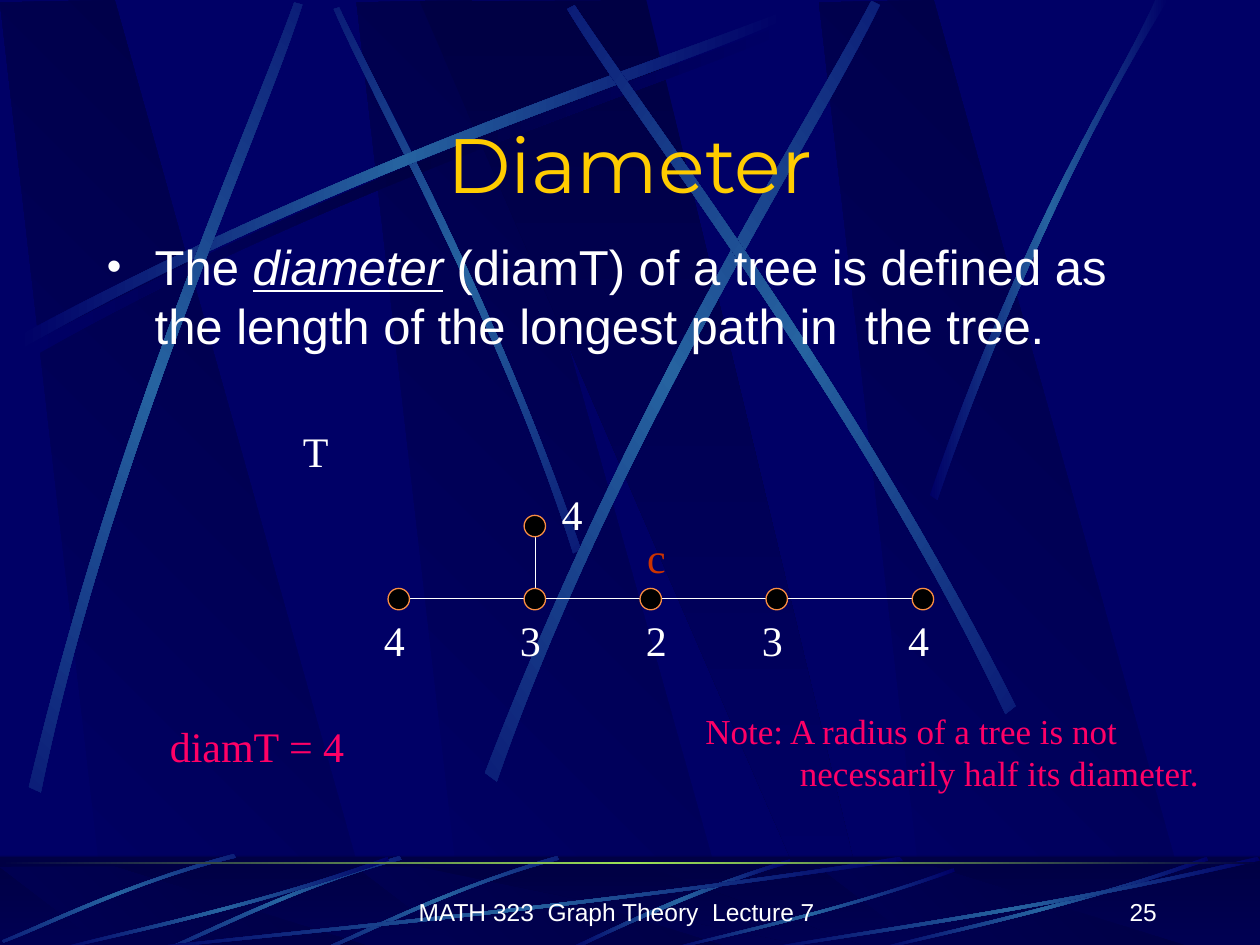
from copy import deepcopy

from lxml import etree
from pptx import Presentation
from pptx.dml.color import RGBColor
from pptx.enum.shapes import MSO_CONNECTOR, MSO_SHAPE
from pptx.enum.text import MSO_ANCHOR, PP_ALIGN
from pptx.oxml.ns import qn
from pptx.util import Cm, Pt

OVAL, RECT, STRAIGHT = MSO_SHAPE.OVAL, MSO_SHAPE.RECTANGLE, MSO_CONNECTOR.STRAIGHT
LEFT, CENTER, RIGHT = PP_ALIGN.LEFT, PP_ALIGN.CENTER, PP_ALIGN.RIGHT
TOP, MIDDLE, BOTTOM = MSO_ANCHOR.TOP, MSO_ANCHOR.MIDDLE, MSO_ANCHOR.BOTTOM

NAVY = RGBColor(0x00, 0x00, 0x66)
DARK = RGBColor(0x00, 0x00, 0x44)
BLUE = RGBColor(0x26, 0x63, 0xA0)
GREEN = RGBColor(0x9C, 0xE1, 0x57)
WHITE = RGBColor(0xFF, 0xFF, 0xFF)
BLACK = RGBColor(0x00, 0x00, 0x00)
YELLOW = RGBColor(0xFF, 0xCC, 0x00)
ORANGE = RGBColor(0xF9, 0x8D, 0x43)
RUST = RGBColor(0xCC, 0x33, 0x00)
PINK = RGBColor(0xFF, 0x00, 0x66)

FADE = (NAVY, BLUE, NAVY)
SHADE = (NAVY, DARK, NAVY)

# Outlines in inches; a ribbon is two Bezier edges of four points each
BEAM = [(0.86, 7.5), (3.02, 7.52), (0.91, 0), (0, 0.02)]
WEDGE = [(0, 0.01), (3.25, 7.51), (3.61, 7.51), (1.8, 0)]
SWEEP = [(0, 2.57), (2.64, 1.15), (5.04, 0.41), (6.06, 0),
         (6.09, 0.06), (5.08, 0.51), (2.34, 1.33), (0.03, 2.67)]
FLAT_STREAK = [(4, 0.03), (2.27, 0.43), (0.69, 0.64), (0.02, 0.75),
               (0, 0.74), (0.66, 0.61), (2.46, 0.38), (3.98, 0)]
STEEP_STREAK = [(1.79, 0), (0.89, 0.27), (0.29, 0.6), (0, 0.72),
                (0.05, 0.73), (0.42, 0.55), (1.23, 0.18), (1.8, 0.03)]
RIGHT_STREAK = [(0, 3.93), (0.76, 1.73), (1.5, 0.66), (1.79, 0),
                (1.89, 0), (0.98, 1.45), (0.31, 3.22), (0.06, 3.97)]


def inch(value):
    return Cm(value * 2.54)


def paint_gradient(shape, colours, angle):
    """Spread evenly spaced colours along a clockwise angle."""
    shape.shadow.inherit = False
    shape.line.fill.background()
    shape.fill.gradient()
    shape.fill.gradient_angle = -angle % 360
    stop_list = shape.element.xpath(".//a:gsLst")[0]
    while len(stop_list) < len(colours):
        stop_list.append(deepcopy(stop_list[0]))
    for index, (stop, colour) in enumerate(zip(shape.fill.gradient_stops, colours)):
        stop.position = index / (len(colours) - 1)
        stop.color.rgb = colour


def add_outline(page, points, box, colours, angle=0):
    """Fit an outline to a box of left, top, width and height."""
    left, top, width, height = box
    scale_x = width / max(x for x, _ in points)
    scale_y = height / max(y for _, y in points)
    placed = [(inch(left + x * scale_x), inch(top + y * scale_y)) for x, y in points]
    builder = page.shapes.build_freeform(*placed[0], scale=1.0)
    builder.add_line_segments(placed[1:], close=True)
    shape = builder.convert_to_shape()
    paint_gradient(shape, colours, angle)
    return shape


def add_ribbon(page, points, box, colours=FADE, rotation=0, mirrored=False):
    if mirrored:
        right = max(x for x, _ in points)
        points = [(right - x, y) for x, y in points]
    shape = add_outline(page, points, box, colours)
    shape.rotation = rotation
    # Join each long edge's three segments into one curve
    segments = shape.element.xpath(".//a:path/a:lnTo")
    for edge in (segments[:3], segments[4:7]):
        curve = etree.Element(qn("a:cubicBezTo"))
        edge[0].addprevious(curve)
        for segment in edge:
            curve.append(segment[0])
            segment.getparent().remove(segment)


def add_rect(page, left, top, width, height, colours, angle=0):
    shape = page.shapes.add_shape(RECT, *map(inch, (left, top, width, height)))
    paint_gradient(shape, colours, angle)
    return shape


def add_text(page, text, box, size=24, font="Times New Roman", colour=WHITE,
             align=CENTER, anchor=TOP, hanging=0, bullet=None, emphasis=None):
    frame = page.shapes.add_textbox(*map(inch, box)).text_frame
    frame.word_wrap = True
    frame.vertical_anchor = anchor
    para = frame.paragraphs[0]
    para.alignment = align
    properties = para._p.get_or_add_pPr()
    if hanging:
        properties.set("marL", str(inch(hanging)))
        properties.set("indent", str(-inch(hanging)))
    if bullet:
        bullet_colour = etree.SubElement(properties, qn("a:buClr"))
        etree.SubElement(bullet_colour, qn("a:srgbClr"), val=str(colour))
        etree.SubElement(properties, qn("a:buSzPct"), val="85000")
        etree.SubElement(properties, qn("a:buFont"), typeface=font)
        etree.SubElement(properties, qn("a:buChar"), char=bullet)
    for part in text if isinstance(text, list) else [text]:
        span = para.add_run()
        span.text = part
        span.font.size, span.font.name = Pt(size), font
        span.font.color.rgb = colour
        if part == emphasis:
            span.font.italic = span.font.underline = True


def add_beams(page, left, top, height):
    for offset in (2.83, 0, 6.5):
        add_outline(page, BEAM, (left + offset, top, 3.02, height), (NAVY, DARK), 315)
    add_outline(page, WEDGE, (left + 3.33, top, 3.61, height), (DARK, NAVY), 90)


def add_backdrop(page, left, top):
    add_beams(page, left, top, 7.52)
    # Left, top, width, height, colours, rotation, mirrored
    sweeps = [(0.2, 0.18, 6.08, 2.67, SHADE, 0, False),
              (1.41, 1.35, 4.42, 1.75, FADE, 45, True),
              (0.14, 0.1, 6.08, 2.67, FADE, 0, False),
              (-1.71, 1.82, 6.08, 2.67, FADE, 311.7, False),
              (2.31, 1.6, 6.24, 3.01, FADE, 321.6, False),
              (3.23, 1.52, 6.08, 2.67, FADE, 34.8, True)]
    for x, y, width, height, *style in sweeps:
        add_ribbon(page, SWEEP, (left + x, top + y, width, height), *style)
    add_ribbon(page, RIGHT_STREAK, (left + 7.38, top, 1.89, 3.97))


def add_footer(page, left, top, width, height):
    add_rect(page, left, top, width, height, (DARK, NAVY), 90)
    add_beams(page, left, top + 0.08, 0.66)
    # Half-transparent veil over the beams
    veil = add_rect(page, left, top - 0.01, width, height, (DARK, DARK))
    veil.fill.solid()
    veil.fill.fore_color.rgb = DARK
    colour = veil.element.xpath("./p:spPr/a:solidFill/a:srgbClr")[0]
    etree.SubElement(colour, qn("a:alpha"), val="50000")
    # Streaks
    add_ribbon(page, STEEP_STREAK, (left + 4.48, top + 0.02, 1.8, 0.73))
    for x, y, wide, high in ((2.58, -0.04, 1.84, 0.83), (1.33, -0.04, 1.84, 0.83),
                             (0.05, -0.09, 1.79, 0.85)):
        add_ribbon(page, SWEEP, (left + x, top + y, wide, high), rotation=314.9, mirrored=True)
    for x, y, wide, high in ((1, 0, 6.17, 0.75), (0.42, 0, 2.67, 0.75), (5.27, 0.09, 2.31, 0.66),
                             (6.92, 0, 2.67, 0.75), (6, 0, 4, 0.75)):
        add_ribbon(page, FLAT_STREAK, (left + x, top + y, wide, high))
    # Glowing rule and footer text
    add_rect(page, left, top + 0.04, width, 0.02, (DARK, GREEN, DARK))
    style = dict(size=14, font="Arial", anchor=BOTTOM)
    add_text(page, "MATH 323  Graph Theory  Lecture 7", (left + 3.17, top + 0.1, 3.45, 0.5), **style)
    add_text(page, "25", (left + 7.2, top + 0.1, 2.08, 0.5), align=RIGHT, **style)


def add_edge(page, *ends):
    edge = page.shapes.add_connector(STRAIGHT, *map(inch, ends))
    edge.line.color.rgb = WHITE
    edge.line.width = Pt(0.75)
    etree.SubElement(edge.element.spPr, qn("a:effectLst"))


def add_tree(page, left, top):
    """Draw the tree; left and top are the centre of its leftmost vertex."""
    branch_x = left + 1.08
    add_edge(page, branch_x, top - 0.5, branch_x, top)
    add_edge(page, left, top, left + 4.08, top)
    # Vertex offset, height, label, label's shift from the vertex
    vertices = [(1.08, -0.58, "4", 0.08, -0.34), (0, 0, "4", -0.25, 0.08),
                (1.08, 0, "3", -0.25, 0.08), (2, 0, "2", -0.17, 0.08),
                (3, 0, "3", -0.25, 0.08), (4.16, 0, "4", -0.25, 0.08)]
    for x, y, label, shift_x, shift_y in vertices:
        x, y = left + x, top + y
        dot = page.shapes.add_shape(OVAL, *map(inch, (x - 0.09, y - 0.08, 0.17, 0.17)))
        dot.shadow.inherit = False
        dot.fill.solid()
        dot.fill.fore_color.rgb = BLACK
        dot.line.color.rgb = ORANGE
        dot.line.width = Pt(0.75)
        add_text(page, label, (x + shift_x, y + shift_y, 0.42, 0.5))
    add_text(page, "c", (left + 1.83, top - 0.58, 0.42, 0.5), colour=RUST)
    add_text(page, "T", (left - 1, top - 1.42, 0.67, 0.5))


def add_definition(page, left, top, width):
    add_text(page, "Diameter", (left, top, width, 0.83), size=44,
             font="Montserrat", colour=YELLOW, anchor=MIDDLE)
    add_text(page, ["The ", "diameter", " (diamT) of a tree is defined as the length "
                    "of the longest path in  the tree."],
             (left, top + 0.95, width, 1.25), size=28, font="Arial", align=LEFT,
             hanging=0.38, bullet="•", emphasis="diameter")


def add_conclusions(page, left, top):
    add_text(page, "Note: A radius of a tree is not necessarily half its diameter.",
             (left + 5.25, top, 4.25, 0.77), size=20, colour=PINK, align=LEFT, hanging=0.75)
    add_text(page, "diamT = 4", (left, top + 0.09, 3.58, 0.5), colour=PINK)


def main():
    deck = Presentation()
    deck.slide_width, deck.slide_height = inch(10), inch(7.5)
    page = deck.slides.add_slide(deck.slide_layouts[6])
    page.background.fill.solid()
    page.background.fill.fore_color.rgb = NAVY
    add_backdrop(page, 0, 0)
    add_footer(page, 0, 6.8, 10, 0.75)
    add_definition(page, 0.75, 0.88, 8.5)
    add_tree(page, 3.17, 4.75)
    add_conclusions(page, 0.25, 5.58)
    deck.save("out.pptx")


if __name__ == "__main__":
    main()
